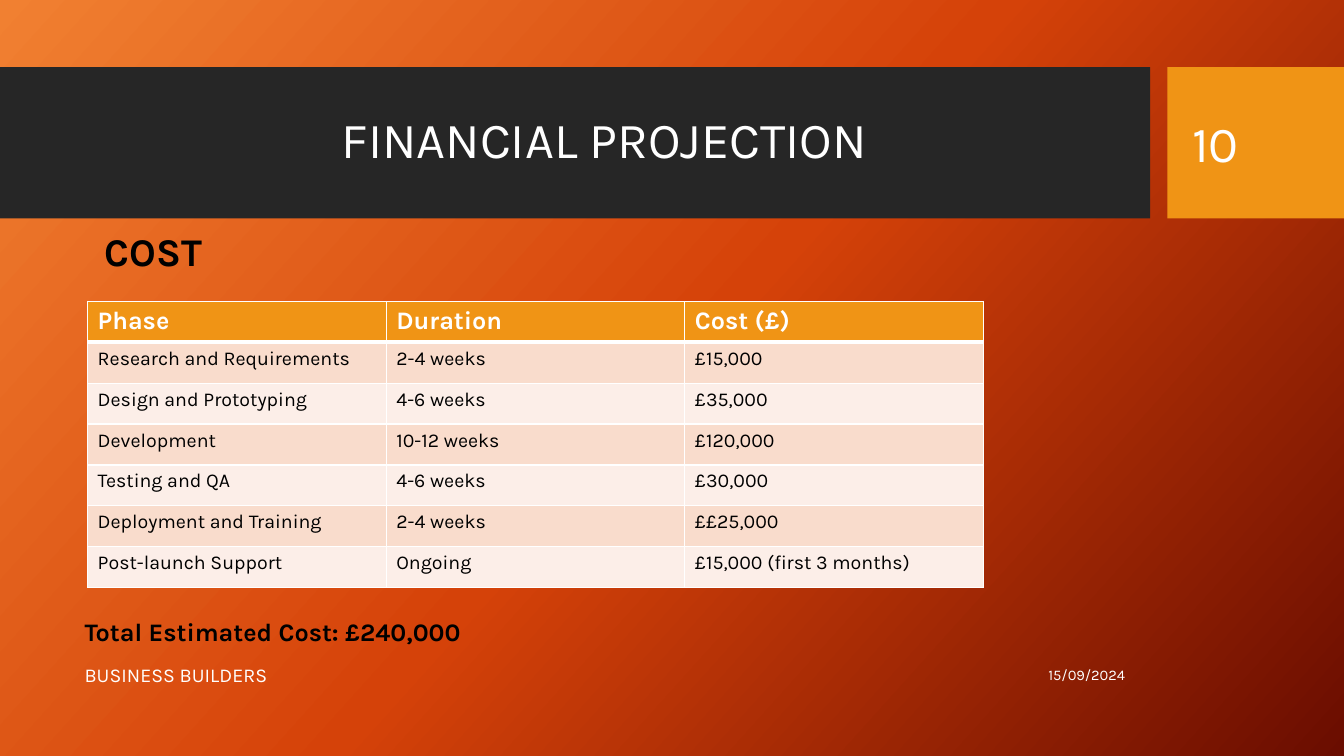
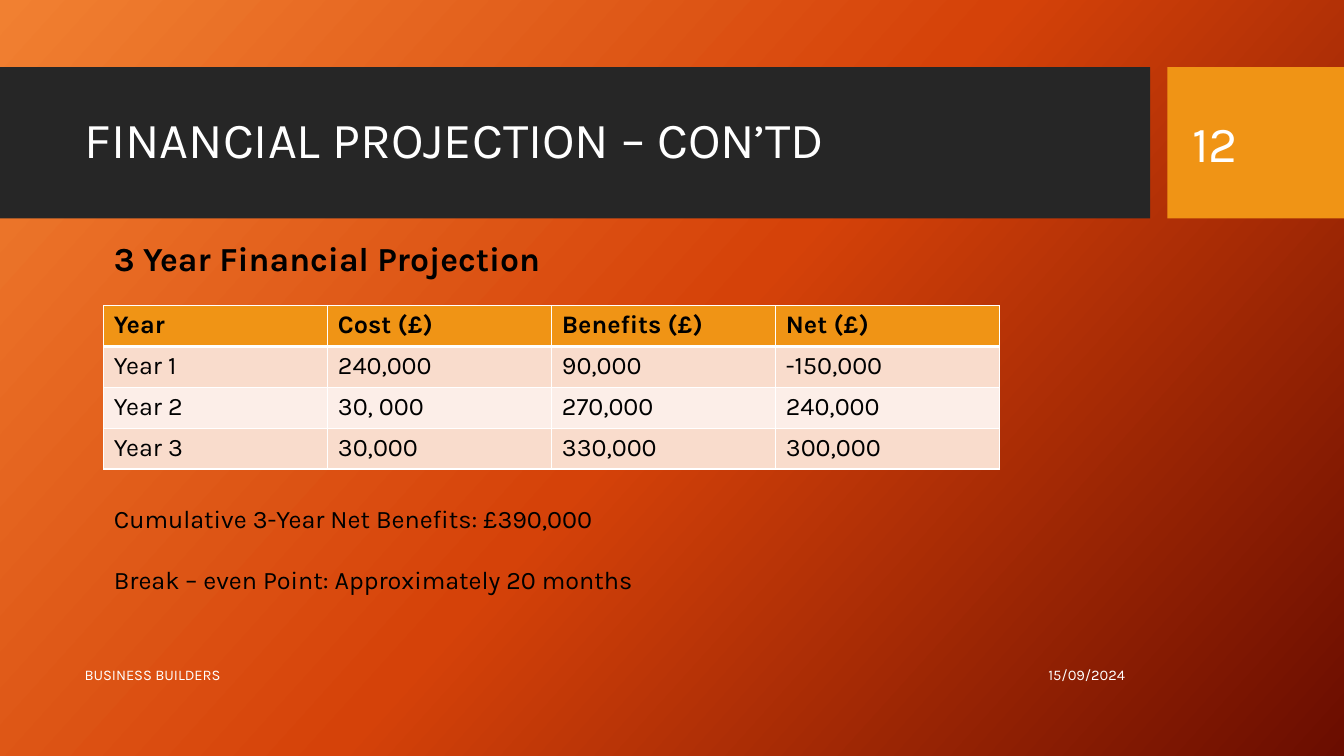
from copy import deepcopy

from lxml.etree import SubElement
from pptx import Presentation
from pptx.dml.color import RGBColor
from pptx.enum.shapes import MSO_SHAPE
from pptx.enum.text import MSO_ANCHOR, MSO_AUTO_SIZE, PP_ALIGN
from pptx.oxml.ns import qn
from pptx.util import Pt

FONT = "Karla"
WHITE = RGBColor(0xFF, 0xFF, 0xFF)
BLACK = RGBColor(0, 0, 0)
CHARCOAL = RGBColor(0x26, 0x26, 0x26)
AMBER = RGBColor(0xF0, 0x94, 0x15)
ROW_FILLS = RGBColor(0xF9, 0xDC, 0xCC), RGBColor(0xFC, 0xEE, 0xE8)
BACKDROP = [
    (0, RGBColor(0xF1, 0x80, 0x31)),
    (0.5, RGBColor(0xD5, 0x42, 0x09)),
    (1, RGBColor(0x6A, 0x0D, 0x00)),
]

# Shared geometry, in points: left, top, width, height
TITLE_BOX = 53.3, 59, 756.7, 85
BANDS = [((0, 48, 821.5, 108), CHARCOAL), ((833.8, 48, 126.2, 108), AMBER)]
NUMBER_BOX = 844.6, 59, 90.7, 85.7
FOOTER_BOX = 53.3, 467.3, 540.7, 28.8
DATE_BOX = 594.7, 467.3, 216, 28.8
TABLE_WIDTH, ROW_HEIGHT = 640, 29.2

# Content
FOOTER, DATE = "BUSINESS BUILDERS", "15/09/2024"
SLIDES = [
    {
        "title": "FINANCIAL PROJECTION",
        "title_align": PP_ALIGN.CENTER,
        "number": "10",
        "footer_size": 14,
        "notes": [
            # box, lines, size, bold
            ((67.7, 159.1, 148.3, 41), ["COST"], 28, True),
            ((53.3, 437, 298, 29), ["Total Estimated Cost: £240,000"], 18, True),
        ],
        "table_at": (62.6, 215.3),
        "header_color": WHITE,
        "body_size": 14,
        "rows": [
            ("Phase", "Duration", "Cost (£)"),
            ("Research and Requirements", "2-4 weeks", "£15,000"),
            ("Design and Prototyping", "4-6 weeks", "£35,000"),
            ("Development", "10-12 weeks", "£120,000"),
            ("Testing and QA", "4-6 weeks", "£30,000"),
            ("Deployment and Training", "2-4 weeks", "££25,000"),
            ("Post-launch Support", "Ongoing", "£15,000 (first 3 months)"),
        ],
    },
    {
        "title": "FINANCIAL PROJECTION – CON’TD",
        "title_align": PP_ALIGN.LEFT,
        "number": "12",
        "footer_size": 10.5,
        "notes": [
            ((74.2, 166.3, 520.6, 36), ["3 Year Financial Projection"], 24, True),
            ((74.2, 355.7, 406, 72.7),
             ["Cumulative 3-Year Net Benefits: £390,000",
              "Break – even Point: Approximately 20 months"], 18, False),
        ],
        "table_at": (74.2, 218.2),
        "header_color": BLACK,
        "body_size": 18,
        "rows": [
            ("Year", "Cost (£)", "Benefits (£)", "Net (£)"),
            ("Year 1", "240,000", "90,000", "-150,000"),
            ("Year 2", "30, 000", "270,000", "240,000"),
            ("Year 3", "30,000", "330,000", "300,000"),
        ],
    },
]


def points(box):
    return [Pt(length) for length in box]


def add_run(paragraph, text, size, color, bold=False):
    run = paragraph.add_run()
    run.text = text
    font = run.font
    font.name, font.size, font.bold = FONT, Pt(size), bold
    font.color.rgb = color


def add_text(slide, box, lines, size, color, bold=False,
             anchor=MSO_ANCHOR.TOP, align=PP_ALIGN.LEFT):
    frame = slide.shapes.add_textbox(*points(box)).text_frame
    frame.word_wrap = True
    frame.vertical_anchor = anchor
    for index, line in enumerate(lines):
        paragraph = frame.add_paragraph() if index else frame.paragraphs[0]
        paragraph.alignment = align
        if index:
            paragraph.space_before = Pt(22)
        add_run(paragraph, line, size, color, bold)


def set_borders(cell, widths):
    """Draw white borders; they go ahead of the fill in the cell properties."""
    properties = cell._tc.get_or_add_tcPr()
    for position, (side, width) in enumerate(widths.items()):
        line = properties.makeelement(qn(f"a:ln{side}"), {"w": str(Pt(width))})
        fill = SubElement(line, qn("a:solidFill"))
        SubElement(fill, qn("a:srgbClr"), val=str(WHITE))
        properties.insert(position, line)


def add_cost_table(slide, content):
    rows = content["rows"]
    columns = len(rows[0])
    table = slide.shapes.add_table(
        len(rows), columns, *points(content["table_at"]),
        Pt(TABLE_WIDTH), Pt(ROW_HEIGHT * len(rows))).table
    for column in table.columns:
        column.width = Pt(TABLE_WIDTH / columns)
    for r, row in enumerate(rows):
        table.rows[r].height = Pt(ROW_HEIGHT)
        header = r == 0
        for c, text in enumerate(row):
            cell = table.cell(r, c)
            cell.fill.solid()
            cell.fill.fore_color.rgb = AMBER if header else ROW_FILLS[(r - 1) % 2]
            set_borders(cell, {"L": 1, "R": 1, "T": 3 if r == 1 else 1,
                               "B": 3 if header else 1})
            add_run(cell.text_frame.paragraphs[0], text,
                    18 if header else content["body_size"],
                    content["header_color"] if header else BLACK, header)


def style_layout(master, layout):
    # Diagonal three-colour background
    fill = master.background.fill
    fill.gradient()
    fill.gradient_angle = 360 - 42
    stops = master.element.find(f".//{qn('a:gsLst')}")
    stops.insert(1, deepcopy(stops[0]))
    for stop, (position, color) in zip(fill.gradient_stops, BACKDROP):
        stop.position = position
        stop.color.rgb = color
    # Keep only the title placeholder, in its place on the band
    for placeholder in list(layout.placeholders):
        if placeholder.placeholder_format.idx:
            layout.shapes.element.remove(placeholder.element)
        else:
            (placeholder.left, placeholder.top,
             placeholder.width, placeholder.height) = points(TITLE_BOX)


def add_bands(slide, layout):
    """Draw the bands, then move them to the layout that all slides share."""
    for box, color in BANDS:
        band = slide.shapes.add_shape(MSO_SHAPE.RECTANGLE, *points(box))
        band.shadow.inherit = False
        band.fill.solid()
        band.fill.fore_color.rgb = color
        band.line.fill.background()
        layout.shapes.element.append(band.element)


def fill_slide(slide, content):
    # Title
    frame = slide.shapes.title.text_frame
    frame.auto_size = MSO_AUTO_SIZE.NONE
    frame.vertical_anchor = MSO_ANCHOR.MIDDLE
    heading = frame.paragraphs[0]
    heading.alignment = content["title_align"]
    heading.line_spacing = 0.9
    add_run(heading, content["title"], 36, WHITE)
    # Date, footer and slide number
    middle = MSO_ANCHOR.MIDDLE
    add_text(slide, DATE_BOX, [DATE], 10.5, WHITE, anchor=middle,
             align=PP_ALIGN.RIGHT)
    add_text(slide, FOOTER_BOX, [FOOTER], content["footer_size"], WHITE,
             anchor=middle)
    add_text(slide, NUMBER_BOX, [content["number"]], 36, WHITE, anchor=middle)
    # Table with its heading and conclusions
    add_cost_table(slide, content)
    for box, lines, size, bold in content["notes"]:
        add_text(slide, box, lines, size, BLACK, bold)


def main():
    prs = Presentation()
    prs.slide_width, prs.slide_height = Pt(960), Pt(540)
    layout = prs.slide_layouts[5]
    style_layout(prs.slide_master, layout)
    slides = [prs.slides.add_slide(layout) for _ in SLIDES]
    add_bands(slides[0], layout)
    for slide, content in zip(slides, SLIDES):
        fill_slide(slide, content)
    prs.save("out.pptx")


if __name__ == "__main__":
    main()
